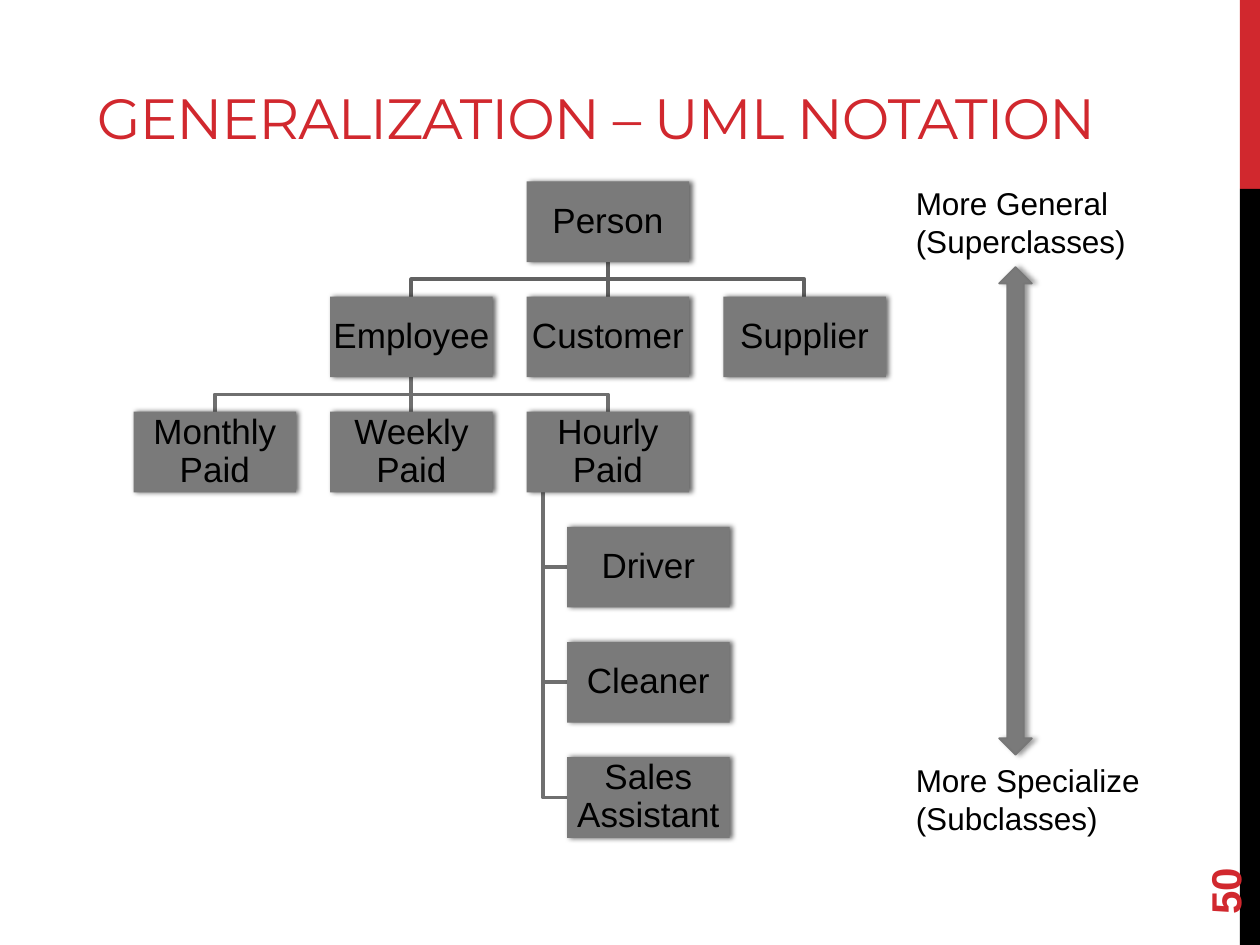
from lxml import etree
from pptx import Presentation
from pptx.dml.color import RGBColor
from pptx.enum.shapes import MSO_CONNECTOR, MSO_SHAPE
from pptx.enum.text import MSO_ANCHOR, PP_ALIGN
from pptx.oxml.ns import qn
from pptx.util import Inches, Pt

COLORS = {
    "red": "D1282E", "black": "000000", "box": "7A7A7A", "arrow_line": "777777",
    "upper_link": "626262", "lower_link": "6F6F6F",
}
TITLE = "GENERALIZATION – UML NOTATION"
PAGE_NUMBER = "50"
SIDE_BARS = [("red", 0, 1.5), ("black", 1.5, 6)]
SCALE_LABELS = [
    (1.41, ["More General", "(Superclasses)"]),
    (5.99, ["More Specialize", "(Subclasses)"]),
]
CLASSES = {
    "Person": (2, 0), "Employee": (1, 1), "Customer": (2, 1), "Supplier": (3, 1),
    "Monthly Paid": (0, 2), "Weekly Paid": (1, 2), "Hourly Paid": (2, 2),
    "Driver": (2, 3), "Cleaner": (2, 4), "Sales Assistant": (2, 5),
}
TREES = [
    ("Person", ["Employee", "Customer", "Supplier"], "upper_link"),
    ("Employee", ["Monthly Paid", "Weekly Paid", "Hourly Paid"], "lower_link"),
]
HANGING = ("Hourly Paid", ["Driver", "Cleaner", "Sales Assistant"], "lower_link")

LEFT, TOP = 1.06, 1.44
BOX_WIDTH, BOX_HEIGHT = 1.29, 0.64
COLUMN_STEP, ROW_STEP = 1.56, 0.914
HANGING_INDENT, STEM_OFFSET = 0.32, 0.13


def color(name):
    return RGBColor.from_string(COLORS[name])


def box_position(name):
    column, row = CLASSES[name]
    indent = HANGING_INDENT if name in HANGING[1] else 0
    return LEFT + column * COLUMN_STEP + indent, TOP + row * ROW_STEP


def add_shadow(shape, opacity, blur, distance):
    effects = shape._element.spPr.find(qn("a:effectLst"))
    shadow = etree.SubElement(effects, qn("a:outerShdw"), blurRad=str(Pt(blur)),
                              dist=str(Pt(distance)), dir="0", rotWithShape="0")
    shade = etree.SubElement(shadow, qn("a:srgbClr"), val=COLORS["black"])
    etree.SubElement(shade, qn("a:alpha"), val=str(opacity * 1000))


def add_filled(page, kind, frame, fill):
    shape = page.shapes.add_shape(kind, *map(Inches, frame))
    shape.shadow.inherit = False
    shape.fill.solid()
    shape.fill.fore_color.rgb = color(fill)
    shape.line.fill.background()
    return shape


def write(shape, lines, size, font="Arial", ink="black", bold=False,
          anchor=MSO_ANCHOR.TOP, align=PP_ALIGN.LEFT):
    frame = shape.text_frame
    frame.word_wrap = True
    frame.vertical_anchor = anchor
    frame.text = "\n".join(lines)
    for paragraph in frame.paragraphs:
        paragraph.alignment = align
        paragraph.font.name = font
        paragraph.font.size = Pt(size)
        paragraph.font.bold = bold
        paragraph.font.color.rgb = color(ink)
    return frame


def add_text(page, frame, lines, size, **style):
    box = page.shapes.add_textbox(*map(Inches, frame))
    write(box, lines, size, **style)
    return box


def add_link(page, points, ink):
    corners = [(Inches(x), Inches(y)) for x, y in points]
    if len(corners) == 2:
        link = page.shapes.add_connector(MSO_CONNECTOR.STRAIGHT, *corners[0], *corners[1])
        etree.SubElement(link._element.spPr, qn("a:effectLst"))
    else:
        builder = page.shapes.build_freeform(*corners[0])
        builder.add_line_segments(corners[1:], close=False)
        link = builder.convert_to_shape()
        link.fill.background()
        link.shadow.inherit = False
    link.line.color.rgb = color(ink)
    link.line.width = Pt(2.25)


def add_links(page):
    for parent, children, ink in TREES:
        left, top = box_position(parent)
        start_x, start_y = left + BOX_WIDTH / 2, top + BOX_HEIGHT
        for child in children:
            child_left, end_y = box_position(child)
            end_x = child_left + BOX_WIDTH / 2
            middle = (start_y + end_y) / 2
            bend = [] if child_left == left else [(start_x, middle), (end_x, middle)]
            add_link(page, [(start_x, start_y), *bend, (end_x, end_y)], ink)

    parent, children, ink = HANGING
    left, top = box_position(parent)
    stem = left + STEM_OFFSET
    for child in children:
        child_left, child_top = box_position(child)
        middle = child_top + BOX_HEIGHT / 2
        add_link(page, [(stem, top + BOX_HEIGHT), (stem, middle), (child_left, middle)], ink)


def add_classes(page):
    for name in CLASSES:
        box = add_filled(page, MSO_SHAPE.RECTANGLE,
                         (*box_position(name), BOX_WIDTH, BOX_HEIGHT), "box")
        add_shadow(box, 60, 3, 1.5)
        frame = write(box, [name], 20, anchor=MSO_ANCHOR.MIDDLE, align=PP_ALIGN.CENTER)
        frame.margin_left = frame.margin_right = Inches(0.01)
        frame.margin_top = frame.margin_bottom = Inches(0.01)
        frame.paragraphs[0].line_spacing = 0.9


def main():
    deck = Presentation()
    deck.slide_width, deck.slide_height = Inches(10), Inches(7.5)
    page = deck.slides.add_slide(deck.slide_layouts[6])

    for fill, top, height in SIDE_BARS:
        add_filled(page, MSO_SHAPE.RECTANGLE, (9.84, top, 0.16, height), fill)

    title = add_text(page, (0.67, 0.3, 8.83, 0.95), [TITLE], 32.4, font="Montserrat",
                     ink="red", anchor=MSO_ANCHOR.BOTTOM)
    title.text_frame.paragraphs[0].runs[0].font._element.set("spc", "-60")
    number = add_text(page, (9, 6.44, 1.44, 0.4), [PAGE_NUMBER], 24, ink="red",
                      bold=True, anchor=MSO_ANCHOR.MIDDLE)
    number.rotation = 270

    for top, lines in SCALE_LABELS:
        add_text(page, (7.17, top, 2.33, 0.71), lines, 18)
    arrow = add_filled(page, MSO_SHAPE.UP_DOWN_ARROW, (7.93, 2.12, 0.26, 3.87), "box")
    arrow.line.color.rgb = color("arrow_line")
    arrow.line.width = Pt(1)
    add_shadow(arrow, 40, 3.1, 1.8)

    add_links(page)
    add_classes(page)
    deck.save("out.pptx")


if __name__ == "__main__":
    main()
